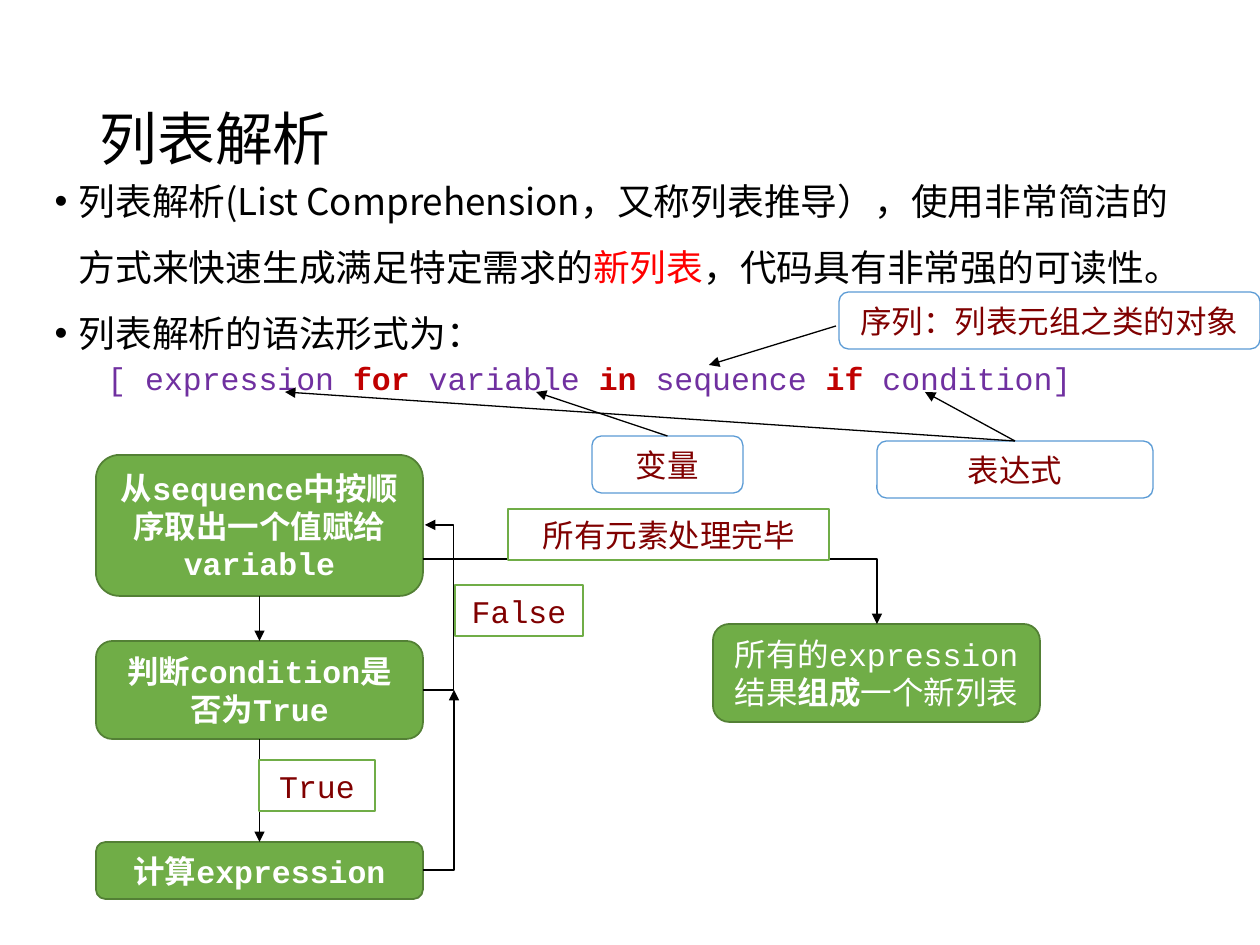
from dataclasses import dataclass

from lxml import etree
from pptx import Presentation
from pptx.dml.color import RGBColor
from pptx.enum.shapes import MSO_CONNECTOR, MSO_SHAPE
from pptx.enum.text import MSO_ANCHOR, MSO_AUTO_SIZE, PP_ALIGN
from pptx.oxml.ns import qn
from pptx.util import Pt

ROUNDED, RECTANGLE = MSO_SHAPE.ROUNDED_RECTANGLE, MSO_SHAPE.RECTANGLE
STRAIGHT, ELBOW = MSO_CONNECTOR.STRAIGHT, MSO_CONNECTOR.ELBOW
LEFT, CENTER = PP_ALIGN.LEFT, PP_ALIGN.CENTER
TOP, MIDDLE = MSO_ANCHOR.TOP, MSO_ANCHOR.MIDDLE
NO_FIT, GROW = MSO_AUTO_SIZE.NONE, MSO_AUTO_SIZE.SHAPE_TO_FIT_TEXT
TOP_SIDE, BOTTOM_SIDE = 0, 2
EMU_PER_PX = 914400 / 126


@dataclass(frozen=True)
class Theme:
    sans: str = "Noto Sans CJK SC"
    mono: str = "Courier New"
    title_size: int = 33
    body_size: int = 21
    label_size: int = 18
    black: str = "000000"
    white: str = "FFFFFF"
    red: str = "FF0000"
    maroon: str = "800000"
    purple: str = "7030A0"
    keyword: str = "C00000"
    green: str = "70AD47"
    dark_green: str = "538035"
    blue: str = "5B9BD5"


def px(length):
    return round(length * EMU_PER_PX)


def rgb(color):
    return RGBColor.from_string(color)


def add_text(paragraph, text, *, font, size, color, bold=False):
    run = paragraph.add_run()
    run.text = text
    run.font.name = font
    run.font.size = Pt(size)
    run.font.bold = bold
    run.font.color.rgb = rgb(color)
    east_asian = etree.SubElement(run.font._element, qn("a:ea"))
    east_asian.set("typeface", Theme.sans)


class SlideBuilder:
    def __init__(self, slide, theme):
        self.slide = slide
        self.theme = theme

    def place(self, shape, left, top, width, height):
        shape.left, shape.top = px(left), px(top)
        shape.width, shape.height = px(width), px(height)

    def set_frame(self, shape, anchor, fit):
        frame = shape.text_frame
        frame.word_wrap = True
        frame.auto_size = fit
        frame.vertical_anchor = anchor
        return frame

    def title(self, text, *bounds):
        shape = self.slide.shapes.title
        self.place(shape, *bounds)
        paragraph = self.set_frame(shape, MIDDLE, NO_FIT).paragraphs[0]
        paragraph.alignment = LEFT
        paragraph.line_spacing = 0.9
        add_text(paragraph, text, font=self.theme.sans,
                 size=self.theme.title_size, color=self.theme.black)

    def bullets(self, items, *bounds, indent=24):
        shape = self.slide.placeholders[1]
        self.place(shape, *bounds)
        frame = self.set_frame(shape, TOP, NO_FIT)
        for index, pieces in enumerate(items):
            paragraph = frame.add_paragraph() if index else frame.paragraphs[0]
            paragraph.line_spacing = 1.5
            paragraph.space_before = Pt(0)
            properties = paragraph._p.get_or_add_pPr()
            properties.set("marL", str(px(indent)))
            properties.set("indent", str(-px(indent)))
            for text, color in pieces:
                add_text(paragraph, text, font=self.theme.sans,
                         size=self.theme.body_size, color=color)

    def code(self, pieces, *bounds):
        shape = self.slide.shapes.add_textbox(*map(px, bounds))
        paragraph = self.set_frame(shape, TOP, GROW).paragraphs[0]
        for text, is_keyword in pieces:
            color = self.theme.keyword if is_keyword else self.theme.purple
            add_text(paragraph, text, font=self.theme.mono,
                     size=self.theme.label_size, color=color, bold=is_keyword)

    def box(self, pieces, *bounds, kind, fill, line, line_width, color):
        shape = self.slide.shapes.add_shape(kind, *map(px, bounds))
        shape.shadow.inherit = False
        if fill:
            shape.fill.solid()
            shape.fill.fore_color.rgb = rgb(fill)
        else:
            shape.fill.background()
        shape.line.color.rgb = rgb(line)
        shape.line.width = Pt(line_width)
        paragraph = self.set_frame(shape, MIDDLE, GROW).paragraphs[0]
        paragraph.alignment = CENTER
        for text, bold in pieces:
            add_text(paragraph, text, font=self.theme.mono,
                     size=self.theme.label_size, color=color, bold=bold)
        return shape

    def step(self, pieces, *bounds):
        return self.box(pieces, *bounds, kind=ROUNDED, fill=self.theme.green,
                        line=self.theme.dark_green, line_width=1, color=self.theme.white)

    def callout(self, text, *bounds):
        return self.box([(text, False)], *bounds, kind=ROUNDED, fill=None,
                        line=self.theme.blue, line_width=0.75, color=self.theme.maroon)

    def label(self, text, *bounds):
        return self.box([(text, False)], *bounds, kind=RECTANGLE, fill=self.theme.white,
                        line=self.theme.green, line_width=1, color=self.theme.maroon)

    def arrow(self, start, end, *, kind=STRAIGHT, source=None, target=None):
        connector = self.slide.shapes.add_connector(kind, *map(px, start + end))
        if source:
            connector.begin_connect(*source)
        if target:
            connector.end_connect(*target)
        connector.line.color.rgb = rgb(self.theme.black)
        connector.line.width = Pt(0.75)
        head = etree.SubElement(connector.line._get_or_add_ln(), qn("a:tailEnd"))
        head.set("type", "triangle")
        etree.SubElement(connector._element.spPr, qn("a:effectLst"))
        return connector

    def corner_arrow(self, start, end):
        connector = self.arrow(start, end, kind=ELBOW)
        connector._element.spPr.find(qn("a:prstGeom")).set("prst", "bentConnector2")

    def loop_arrow(self, start, end, turn_x):
        connector = self.arrow(start, end, kind=ELBOW)
        adjustments = connector._element.spPr.find(qn("a:prstGeom")).get_or_add_avLst()
        ratio = (turn_x - start[0]) / (end[0] - start[0])
        guide = etree.SubElement(adjustments, qn("a:gd"))
        guide.set("name", "adj1")
        guide.set("fmla", f"val {round(ratio * 100000)}")


def main():
    presentation = Presentation()
    presentation.slide_width, presentation.slide_height = px(1260), px(945)
    theme = Theme()
    slide = presentation.slides.add_slide(presentation.slide_layouts[1])
    builder = SlideBuilder(slide, theme)

    # Title, explanation and syntax
    builder.bullets([
        [("列表解析(List Comprehension，又称列表推导），使用非常简洁的方式来快速生成满足特定需求的", theme.black),
         ("新列表", theme.red), ("，代码具有非常强的可读性。", theme.black)],
        [("列表解析的语法形式为：", theme.black)],
    ], 42, 150, 1165, 258)
    builder.title("列表解析", 87, 50, 1086, 183)
    builder.code([("[ expression ", False), ("for ", True), ("variable ", False),
                  ("in", True), (" sequence ", False), ("if ", True),
                  ("condition]", False)], 95, 353, 1036, 51)

    # Callouts on the parts of the syntax
    expression = builder.callout("表达式", 877, 441, 276, 57)
    for tip in ((925, 392), (285, 392)):
        builder.arrow((1015, 441), tip, source=(expression, TOP_SIDE))
    builder.callout("序列：列表元组之类的对象", 839, 292, 421, 57)
    builder.arrow((836, 326), (709, 365))
    variable = builder.callout("变量", 592, 436, 151, 57)
    builder.arrow((668, 436), (536, 392), source=(variable, TOP_SIDE))

    # Flowchart steps
    left, width = 96, 327
    right, middle = left + width, left + width // 2
    take = builder.step([("从sequence中按顺序取出一个值赋给variable", True)], left, 455, width, 141)
    check = builder.step([("判断condition是否为True", True)], left, 641, width, 98)
    compute = builder.step([("计算expression", True)], left, 842, width, 57)
    builder.step([("所有的expression结果", False), ("组成", True),
                  ("一个新列表", False)], 713, 624, width, 98)

    # Flowchart arrows
    for upper, lower, start_y, end_y in ((take, check, 596, 641), (check, compute, 739, 842)):
        builder.arrow((middle, start_y), (middle, end_y),
                      source=(upper, BOTTOM_SIDE), target=(lower, TOP_SIDE))
    builder.loop_arrow((right, 690), (right + 2, 525), turn_x=454)
    builder.corner_arrow((right, 870), (454, 690))
    builder.corner_arrow((right, 559), (877, 624))

    # Branch labels
    builder.label("True", 259, 760, 116, 51)
    builder.label("False", 455, 585, 128, 51)
    builder.label("所有元素处理完毕", 508, 509, 321, 51)

    presentation.save("out.pptx")


if __name__ == "__main__":
    main()
